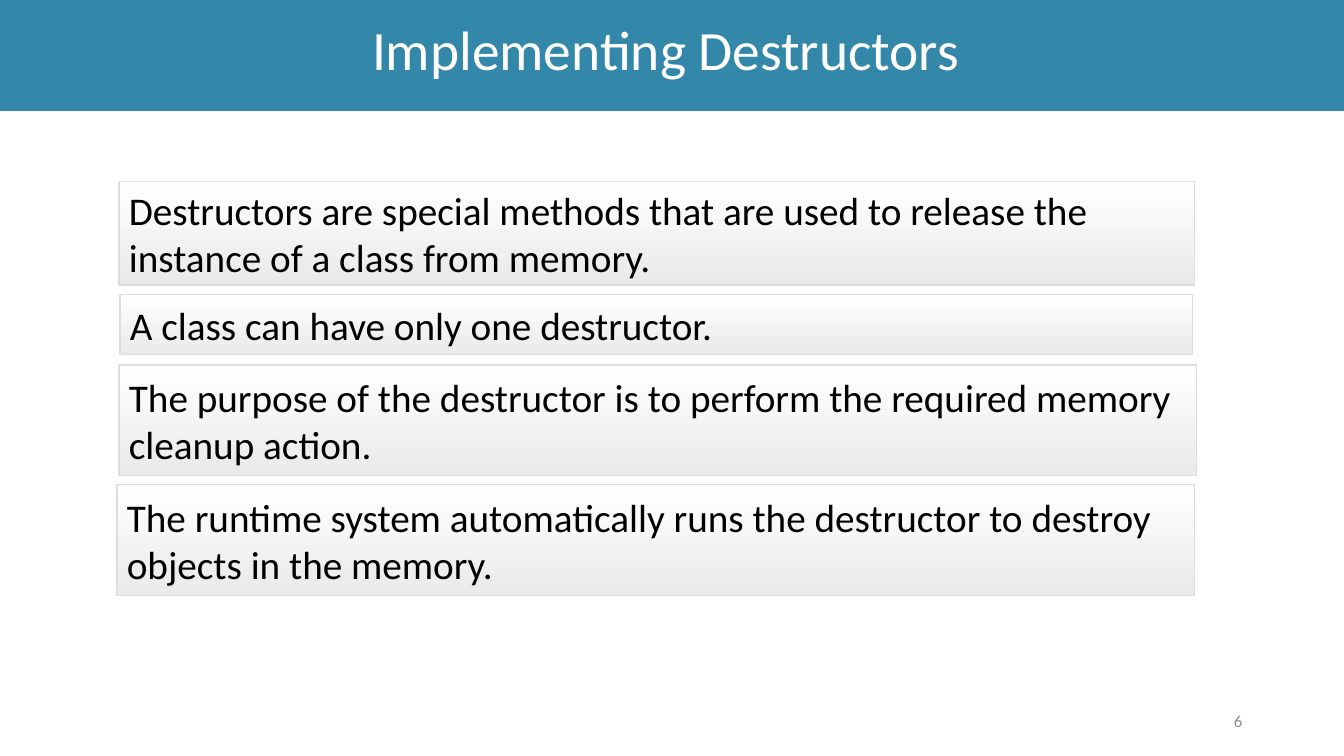
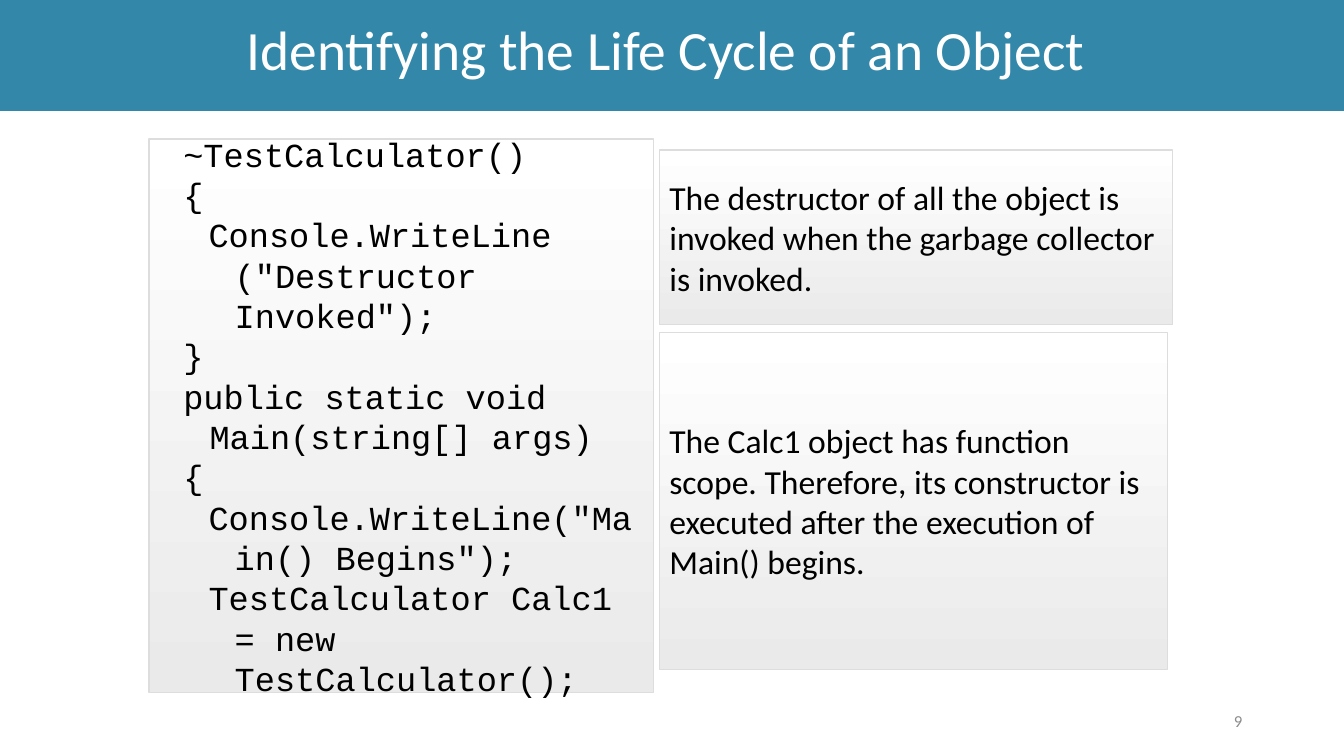
from pptx import Presentation
from pptx.dml.color import RGBColor
from pptx.enum.shapes import MSO_SHAPE
from pptx.enum.text import MSO_ANCHOR, PP_ALIGN
from pptx.util import Emu, Pt

PX = 9144  # 100 px to the inch
SLIDE_WIDTH, SLIDE_HEIGHT = 1333, 750
BODY_FONT, CODE_FONT = "Calibri", "Courier New"
BAND, WHITE, BLACK = "3388A9", "FFFFFF", "000000"
PANEL_END, PANEL_EDGE, NUMBER_GREY = "EAEAEA", "DDDDDD", "8C8C8C"
CODE_HANG, CODE_STEP = 26, 25

STATEMENTS = [
    ((118, 180, 1067, 103), "Destructors are special methods that are used to release "
                            "the instance of a class from memory."),
    ((119, 292, 1064, 60), "A class can have only one destructor."),
    ((118, 362, 1069, 110), "The purpose of the destructor is to perform the required "
                            "memory cleanup action."),
    ((116, 481, 1069, 110), "The runtime system automatically runs the destructor to "
                            "destroy objects in the memory."),
]
# Indent level and text of each code line
CODE_LINES = [
    (1, "~TestCalculator()"),
    (1, "{"),
    (2, "Console.WriteLine (\"Destructor Invoked\");"),
    (1, "}"),
    (1, "public static void Main(string[] args)"),
    (1, "{"),
    (2, "Console.WriteLine(\"Main() Begins\");"),
    (2, "TestCalculator Calc1 = new TestCalculator();"),
]
NOTES = [
    ((654, 149, 509, 173), "The destructor of all the object is invoked when the "
                           "garbage collector is invoked."),
    ((654, 330, 504, 334), "The Calc1 object has function scope. Therefore, its "
                           "constructor is executed after the execution of Main() begins."),
]


def px(length):
    return Emu(length * PX)


def color(hex_string):
    return RGBColor.from_string(hex_string)


def write(para, text, size, hex_string=BLACK, font=BODY_FONT, align=PP_ALIGN.LEFT):
    para.text = text
    para.alignment = align
    para.font.name = font
    para.font.size = Pt(size)
    para.font.color.rgb = color(hex_string)


def prepare_frame(shape):
    frame = shape.text_frame
    frame.word_wrap = True
    frame.vertical_anchor = MSO_ANCHOR.MIDDLE
    return frame


def add_rectangle(page, box):
    shape = page.shapes.add_shape(MSO_SHAPE.RECTANGLE, *map(px, box))
    shape.shadow.inherit = False
    return shape, prepare_frame(shape)


def add_title_band(page, title):
    band, frame = add_rectangle(page, (0, 0, SLIDE_WIDTH, 110))
    band.fill.solid()
    band.fill.fore_color.rgb = color(BAND)
    band.line.fill.background()
    # Uneven insets set the title slightly left of and above the centre
    frame.margin_right = px(22)
    frame.margin_bottom = px(11)
    para = frame.paragraphs[0]
    write(para, title, 39.6, WHITE, align=PP_ALIGN.CENTER)
    para.line_spacing = 0.9


def add_page_number(page, number):
    box = page.shapes.add_textbox(*map(px, (942, 695, 300, 40)))
    para = prepare_frame(box).paragraphs[0]
    write(para, str(number), 12, NUMBER_GREY, align=PP_ALIGN.RIGHT)


def add_panel(page, box):
    panel, frame = add_rectangle(page, box)
    panel.fill.gradient()
    panel.fill.gradient_angle = 270  # top to bottom
    for stop, shade in zip(panel.fill.gradient_stops, (WHITE, PANEL_END)):
        stop.color.rgb = color(shade)
    panel.line.color.rgb = color(PANEL_EDGE)
    panel.line.width = Pt(1)
    return frame


def add_text_panels(page, panels, size):
    for box, text in panels:
        write(add_panel(page, box).paragraphs[0], text, size)


def add_code_panel(page, box, lines):
    frame = add_panel(page, box)
    for index, (level, text) in enumerate(lines):
        para = frame.add_paragraph() if index else frame.paragraphs[0]
        para.level = level
        properties = para._p.get_or_add_pPr()
        properties.set("marL", str(px(CODE_STEP * (level + 1))))
        properties.set("indent", str(px(-CODE_HANG)))
        write(para, text, 24, font=CODE_FONT)
        para.line_spacing = Pt(28.8)


def add_page(deck, title, number):
    page = deck.slides.add_slide(deck.slide_layouts[6])
    add_title_band(page, title)
    add_page_number(page, number)
    return page


def main():
    deck = Presentation()
    deck.slide_width, deck.slide_height = px(SLIDE_WIDTH), px(SLIDE_HEIGHT)

    # Destructor statements
    page = add_page(deck, "Implementing Destructors", 6)
    add_text_panels(page, STATEMENTS, 28)

    # Code beside its notes
    page = add_page(deck, "Identifying the Life Cycle of an Object", 9)
    add_code_panel(page, (148, 138, 500, 549), CODE_LINES)
    add_text_panels(page, NOTES, 24)

    deck.save("out.pptx")


if __name__ == "__main__":
    main()
